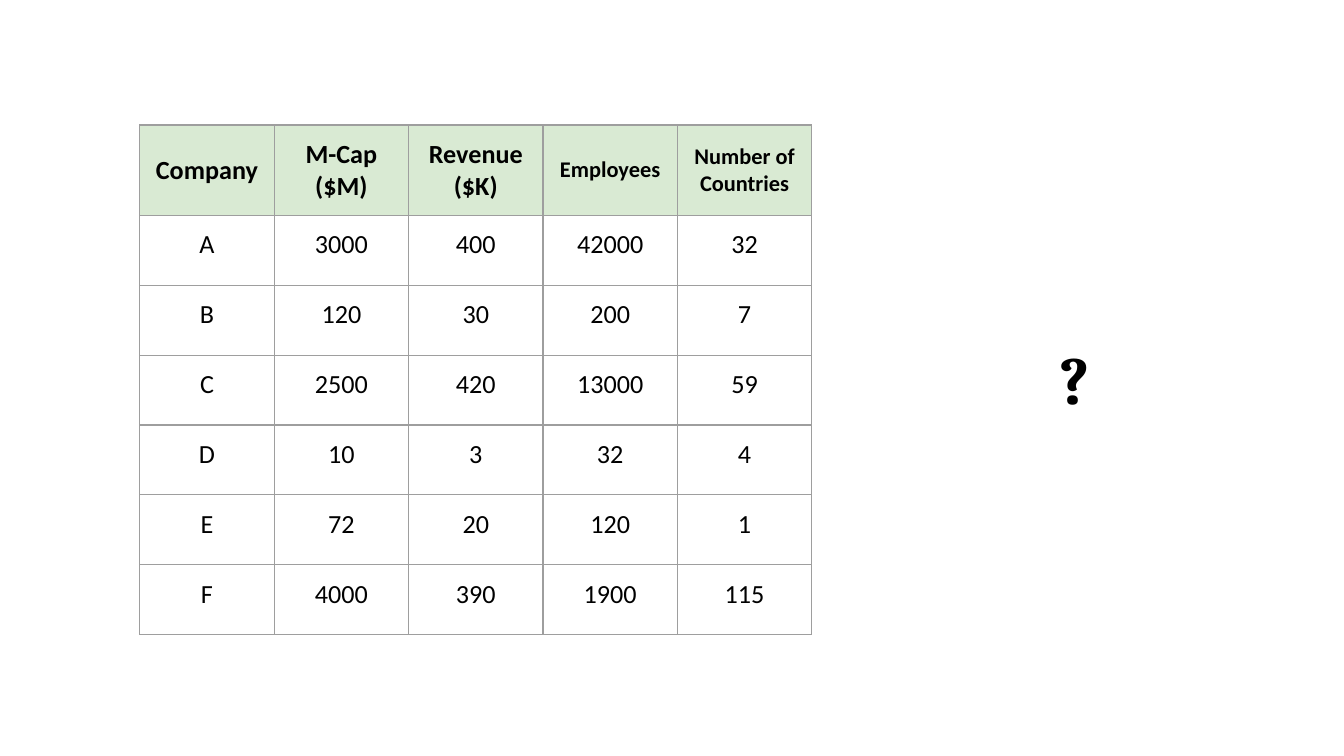
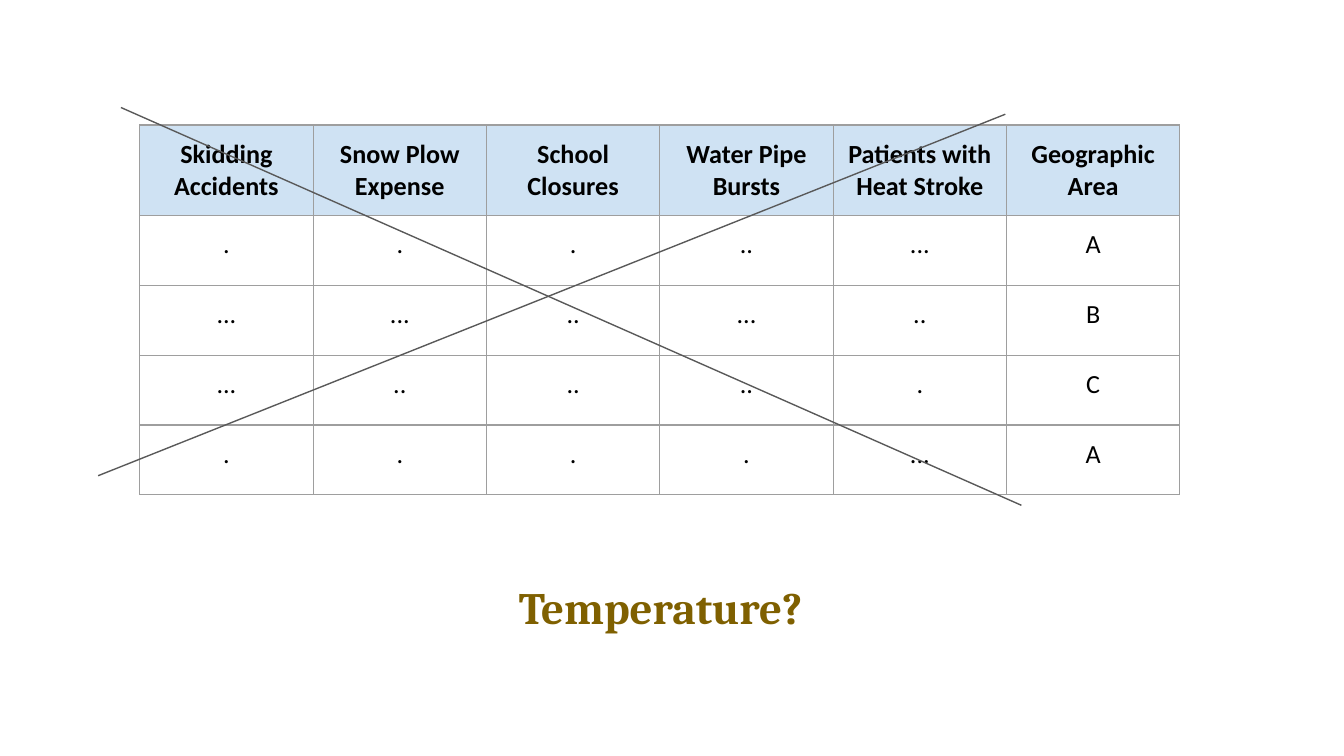
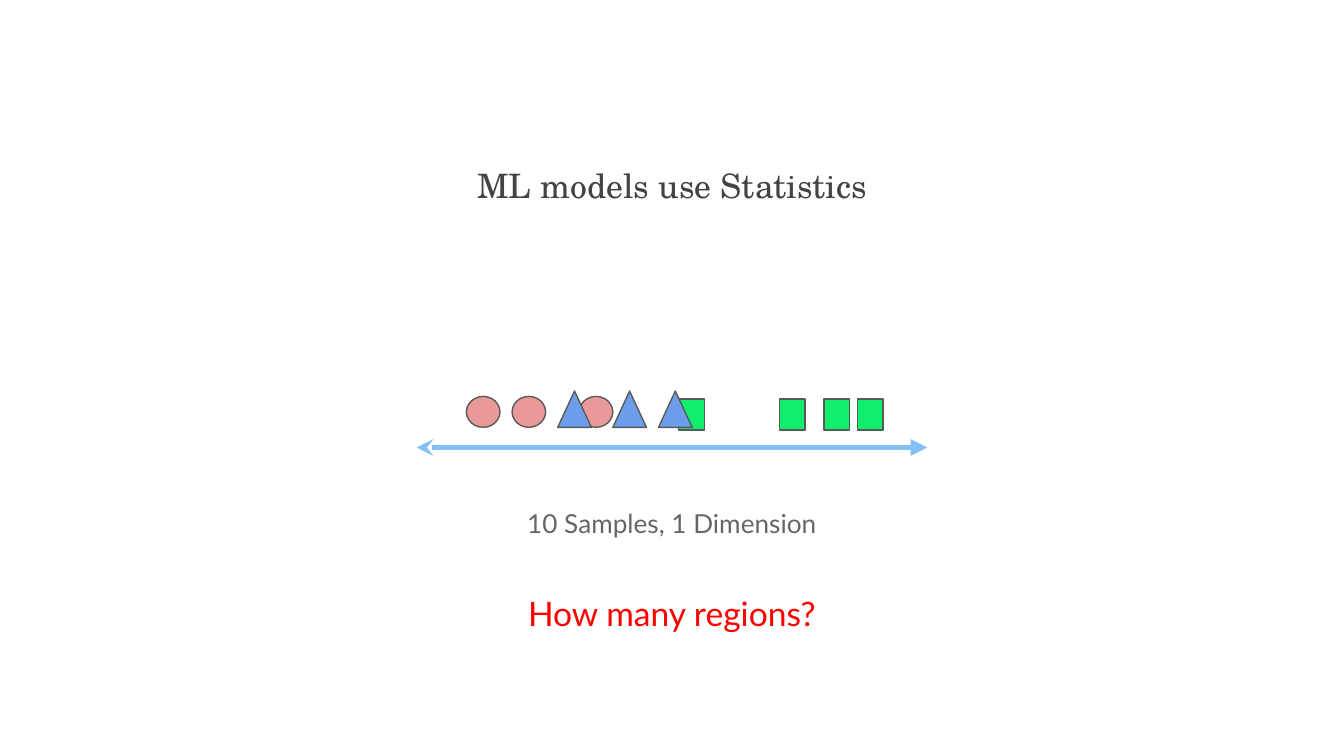
from lxml import etree
from pptx import Presentation
from pptx.dml.color import RGBColor
from pptx.enum.shapes import MSO_CONNECTOR, MSO_SHAPE
from pptx.enum.text import MSO_ANCHOR, MSO_AUTO_SIZE, PP_ALIGN
from pptx.oxml.ns import qn
from pptx.util import Inches, Pt

STRAIGHT = MSO_CONNECTOR.STRAIGHT
RECT, OVAL = MSO_SHAPE.RECTANGLE, MSO_SHAPE.OVAL
TRIANGLE = MSO_SHAPE.ISOSCELES_TRIANGLE
CENTER = PP_ALIGN.CENTER
MIDDLE, TOP = MSO_ANCHOR.MIDDLE, MSO_ANCHOR.TOP
NO_FIT = MSO_AUTO_SIZE.NONE

SANS, SERIF, LABEL, TITLE = "Calibri", "Cambria", "Lato", "TeX Gyre Schola"
BLACK, GRID, EDGE = "000000", "9E9E9E", "595959"
GREEN, BLUE = "D9EAD3", "CFE2F3"
PAD = Inches(0.1)
WIDE = Inches(10)
TITLE_ONLY, BLANK = 5, 6


def color(code):
    return RGBColor.from_string(code)


def write(frame, lines, font, size, code=BLACK, bold=False):
    for i, line in enumerate(lines):
        para = frame.paragraphs[0] if i == 0 else frame.add_paragraph()
        para.alignment = CENTER
        run = para.add_run()
        run.text = line
        run.font.name = font
        run.font.size = Pt(size)
        run.font.bold = bold
        run.font.color.rgb = color(code)


def set_pads(item):
    item.margin_left = item.margin_right = PAD
    item.margin_top = item.margin_bottom = PAD
    item.vertical_anchor = MIDDLE


def fill_box(shape, text, *style):
    frame = shape.text_frame
    frame.word_wrap = True
    frame.auto_size = NO_FIT
    set_pads(frame)
    write(frame, [text], *style)


def add_label(slide, box, text, *style):
    shape = slide.shapes.add_textbox(*map(Inches, box))
    fill_box(shape, text, *style)


def add_title(slide, box, text):
    shape = slide.shapes.title
    shape.left, shape.top, shape.width, shape.height = map(Inches, box)
    fill_box(shape, text, TITLE, 18, "434343")


def add_borders(cell):
    props = cell._tc.get_or_add_tcPr()
    for side in ("lnL", "lnR", "lnT", "lnB"):
        line = etree.SubElement(props, qn("a:" + side), w=str(Pt(0.75)))
        fill = etree.SubElement(line, qn("a:solidFill"))
        etree.SubElement(fill, qn("a:srgbClr"), val=GRID)


def add_grid(slide, left, top, width, heads, rows, tint):
    """Add a table; each head is its list of lines and its text size."""
    high = 0.52
    count = len(rows) + 1
    table = slide.shapes.add_table(
        count, len(heads), Inches(left), Inches(top),
        Inches(width * len(heads)), Inches(high * count)).table
    table.horz_banding = False
    for col in table.columns:
        col.width = Inches(width)
    for row in table.rows:
        row.height = Inches(high)
    cells = [heads] + [[([text], 14) for text in row] for row in rows]
    for r, row in enumerate(cells):
        for c, (lines, size) in enumerate(row):
            cell = table.cell(r, c)
            add_borders(cell)
            set_pads(cell)
            if r == 0:
                cell.fill.solid()
                cell.fill.fore_color.rgb = color(tint)
            else:
                cell.vertical_anchor = TOP
                cell.fill.background()
            write(cell.text_frame, lines, SANS, size, BLACK, r == 0)


def add_line(slide, start, end, code, width, head=None, tail=None):
    line = slide.shapes.add_connector(
        STRAIGHT, *map(Inches, (*start, *end)))
    line.line.color.rgb = color(code)
    line.line.width = Pt(width)
    stroke = line.line._get_or_add_ln()
    for tag, kind in (("a:headEnd", head), ("a:tailEnd", tail)):
        if kind:
            etree.SubElement(stroke, qn(tag), type=kind)
    etree.SubElement(line._element.spPr, qn("a:effectLst"))


def add_marks(slide, kind, tint, lefts, top, width, height):
    for left in lefts:
        mark = slide.shapes.add_shape(
            kind, *map(Inches, (left, top, width, height)))
        mark.shadow.inherit = False
        mark.fill.solid()
        mark.fill.fore_color.rgb = color(tint)
        mark.line.color.rgb = color(EDGE)
        mark.line.width = Pt(0.75)


def add_axis(slide, left, top, width):
    """Draw the number line and the samples that stand above it."""
    base = top + 0.42
    add_line(slide, (left, base), (left + width, base), "84C0F4", 3,
             "stealth", "triangle")
    groups = [
        (RECT, "0FEE6D", (3.03, 2.7, 1.95, 3.28), 0.06, 0.19, 0.23),
        (OVAL, "EA9999", (0.37, 0.71, 1.21), 0.04, 0.25, 0.23),
        (TRIANGLE, "6D9EEB", (1.05, 1.46, 1.8), 0, 0.25, 0.27),
    ]
    for kind, tint, steps, drop, wide, high in groups:
        add_marks(slide, kind, tint, [left + step for step in steps],
                  top + drop, wide, high)


def company_slide(slide):
    heads = [(["Company"], 14), (["M-Cap", "($M)"], 14),
             (["Revenue", "($K)"], 14), (["Employees"], 12),
             (["Number of Countries"], 12)]
    rows = [
        ("A", "3000", "400", "42000", "32"),
        ("B", "120", "30", "200", "7"),
        ("C", "2500", "420", "13000", "59"),
        ("D", "10", "3", "32", "4"),
        ("E", "72", "20", "120", "1"),
        ("F", "4000", "390", "1900", "115"),
    ]
    add_grid(slide, 1.04, 0.93, 1, heads, rows, GREEN)
    add_label(slide, (7.5, 2.63, 1, 0.36), "?", SERIF, 36, BLACK, True)


def weather_slide(slide):
    names = ["Skidding Accidents", "Snow Plow Expense", "School Closures",
             "Water Pipe Bursts", "Patients with Heat Stroke",
             "Geographic Area"]
    rows = [
        (".", ".", ".", "..", "...", "A"),
        ("...", "...", "..", "...", "..", "B"),
        ("...", "..", "..", "..", ".", "C"),
        (".", ".", ".", ".", "...", "A"),
    ]
    add_grid(slide, 1.04, 0.93, 1.29, [([name], 14) for name in names],
             rows, BLUE)
    add_label(slide, (2.26, 4.19, 5.31, 0.65), "Temperature?",
              SERIF, 24, "7F6000", True)
    add_line(slide, (0.9, 0.8), (7.6, 3.76), EDGE, 0.75)
    add_line(slide, (7.48, 0.85), (0.73, 3.54), EDGE, 0.75)


def sample_slide(slide):
    left, width, high = 1.03, 7.94, 0.47
    add_title(slide, (left, 1.14, width, high), "ML models use Statistics")
    add_axis(slide, 3.1, 2.91, 3.8)
    add_label(slide, (left, 3.66, width, high), "10 Samples, 1 Dimension",
              LABEL, 14, "666666")
    add_label(slide, (left, 4.33, width, high), "How many regions?",
              LABEL, 18, "FF0000")


def main():
    deck = Presentation()
    deck.slide_width, deck.slide_height = WIDE, WIDE * 9 // 16
    for build, layout in ((company_slide, BLANK), (weather_slide, BLANK),
                          (sample_slide, TITLE_ONLY)):
        build(deck.slides.add_slide(deck.slide_layouts[layout]))
    deck.save("out.pptx")


if __name__ == "__main__":
    main()
